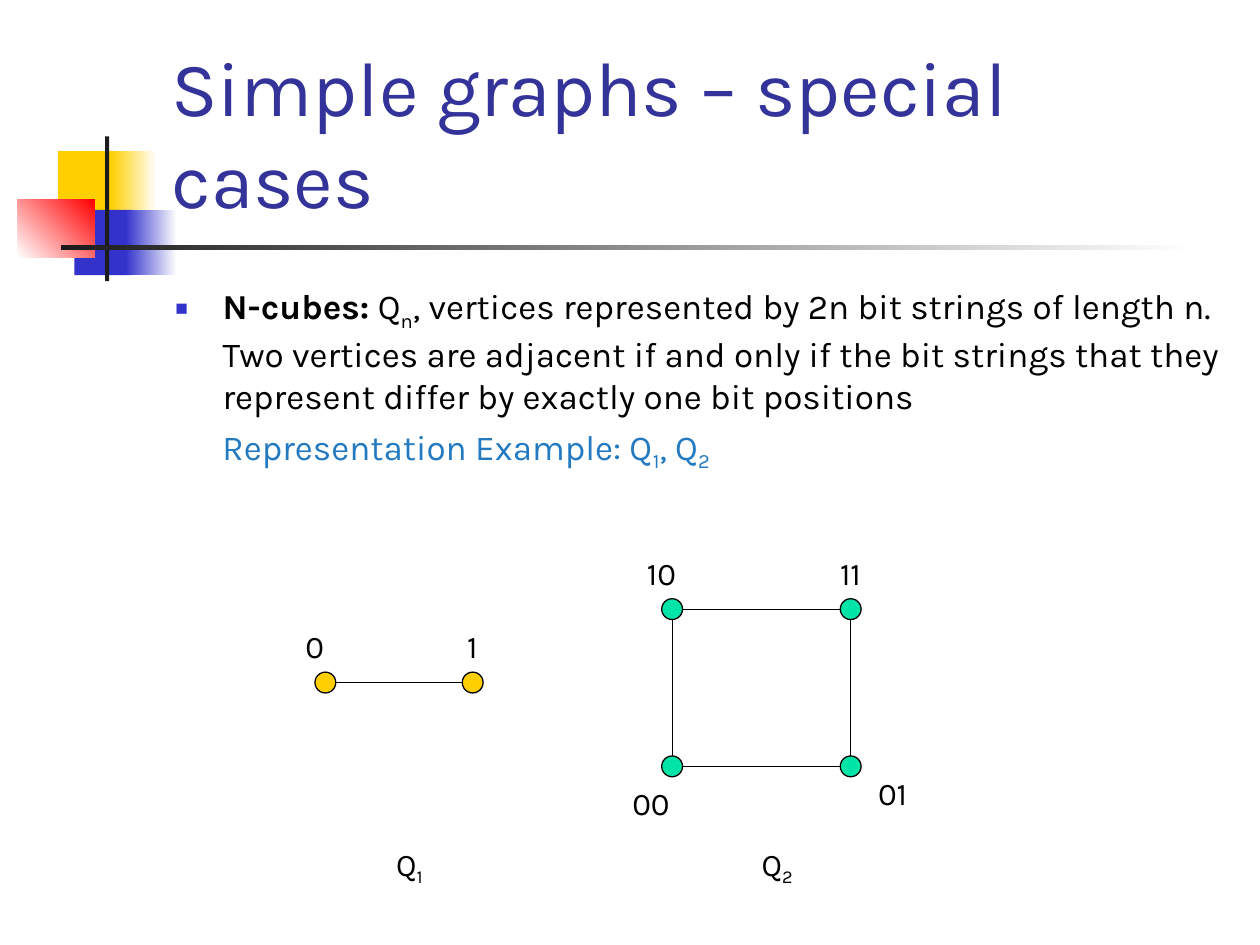
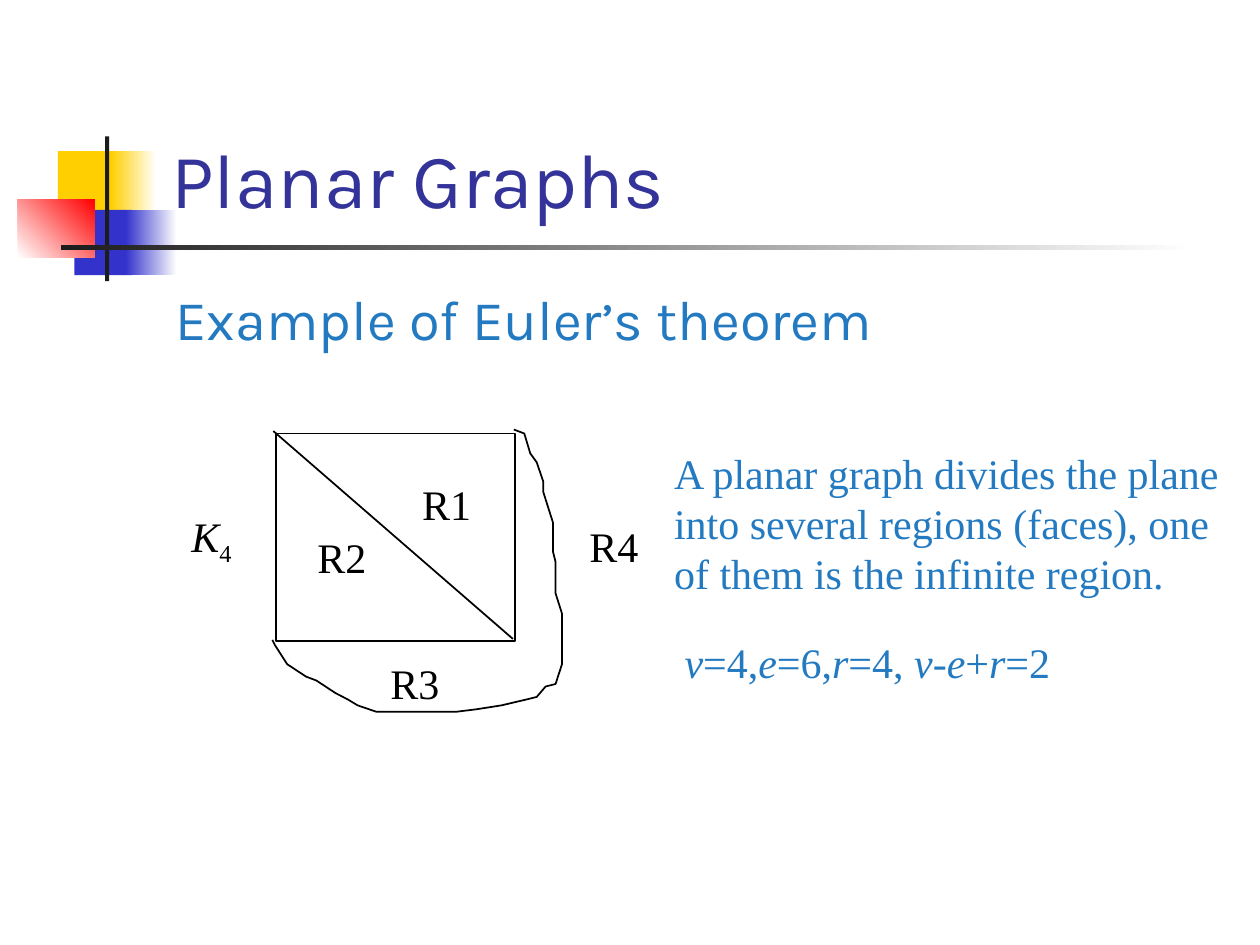
"""Build two graph theory slides: n-cubes and Euler's theorem for planar graphs."""
import dataclasses

import lxml.etree
import pptx
import pptx.dml.color
import pptx.enum.shapes
import pptx.enum.text
import pptx.oxml.ns
import pptx.util

Cm = pptx.util.Cm
Align = pptx.enum.text.PP_ALIGN
Anchor = pptx.enum.text.MSO_ANCHOR
Shape = pptx.enum.shapes.MSO_SHAPE
rgb = pptx.dml.color.RGBColor.from_string
qn = pptx.oxml.ns.qn


@dataclasses.dataclass(frozen=True)
class Theme:
    sans: str = "Karla"
    serif: str = "Times New Roman"
    title: str = "333399"
    accent: str = "237AC1"
    ink: str = "000000"
    bar: str = "1C1C1C"
    white: str = "FFFFFF"
    yellow: str = "FFCF01"
    blue: str = "3333CC"
    red: str = "FF0000"
    green: str = "00E4A8"
    title_size: int = 44
    heading_size: int = 32
    note_size: int = 24
    body_size: int = 20
    label_size: int = 18


theme = Theme()


def write(para, runs, face, size, color):
    """Fill a paragraph with (text, style) runs; style is "", "bold", "italic" or "sub"."""
    para.font.name = face
    para.font.size = pptx.util.Pt(size)
    para.font.color.rgb = rgb(color)
    for text, style in runs:
        span = para.add_run()
        span.text = text
        if style == "bold":
            span.font.bold = True
        elif style == "italic":
            span.font.italic = True
        elif style == "sub":
            span._r.get_or_add_rPr().set("baseline", "-25000")


def draw_edge(slide, start, end, width):
    """Draw a straight black edge between two points given in centimetres."""
    edge = slide.shapes.add_connector(
        pptx.enum.shapes.MSO_CONNECTOR.STRAIGHT, *[Cm(n) for n in (*start, *end)])
    edge.line.color.rgb = rgb(theme.ink)
    edge.line.width = pptx.util.Pt(width)
    lxml.etree.SubElement(edge.element.spPr, qn("a:effectLst"))


deck = pptx.Presentation()
deck.slide_width, deck.slide_height = Cm(25.4), Cm(19.05)
layout = deck.slide_layouts[1]
for placeholder in list(layout.placeholders)[2:]:
    placeholder.element.getparent().remove(placeholder.element)

pages = []
for heading, body_height in [("Simple graphs – special cases", 5.18), ("Planar Graphs", 11.43)]:
    page = deck.slides.add_slide(layout)
    title, body = page.placeholders
    title.left, title.top, title.width, title.height = Cm(3.2), Cm(0.58), Cm(21.64), Cm(4.06)
    body.left, body.top, body.width, body.height = Cm(3.28), Cm(5.61), Cm(21.59), Cm(body_height)
    for holder in (title, body):
        holder.text_frame.word_wrap = True
        holder.text_frame.auto_size = pptx.enum.text.MSO_AUTO_SIZE.NONE
    title.text_frame.vertical_anchor = Anchor.BOTTOM
    title_para = title.text_frame.paragraphs[0]
    title_para.alignment = Align.LEFT
    write(title_para, [(heading, "")], theme.sans, theme.title_size, theme.title)
    pages.append(page)
cubes, planar = pages

bands = [
    (1.17, 3.05, 1.22, 1.32, [theme.yellow], 0),
    (2.24, 3.05, 0.91, 1.32, [theme.yellow, theme.white], 0),
    (1.5, 4.23, 1.17, 1.32, [theme.blue], 0),
    (2.54, 4.23, 1.02, 1.32, [theme.blue, theme.white], 0),
    (0.36, 4.02, 1.55, 1.17, [theme.white, theme.red], 45),
    (2.12, 2.75, 0.08, 2.92, [theme.bar], 0),
    (1.23, 4.94, 22.86, 0.1, [theme.bar, theme.white], 0),
]
band_shapes = []
for *frame, colors, angle in bands:
    band = cubes.shapes.add_shape(Shape.RECTANGLE, *[Cm(n) for n in frame])
    band.shadow.inherit = False
    band.line.fill.background()
    if len(colors) == 1:
        band.fill.solid()
        band.fill.fore_color.rgb = rgb(colors[0])
    else:
        band.fill.gradient()
        band.fill.gradient_angle = angle
        for stop, position, color in zip(band.fill.gradient_stops, (0, 1), colors):
            stop.position = position
            stop.color.rgb = rgb(color)
    band_shapes.append(band)
for index, band in enumerate(band_shapes):
    layout.shapes.element.insert(2 + index, band.element)

body_frame = cubes.placeholders[1].text_frame
definition = body_frame.paragraphs[0]
definition.space_before = pptx.util.Pt(0)
properties = definition._p.get_or_add_pPr()
bullet_color = lxml.etree.SubElement(properties, qn("a:buClr"))
lxml.etree.SubElement(bullet_color, qn("a:srgbClr"), val=theme.blue)
lxml.etree.SubElement(properties, qn("a:buSzPct"), val="60000")
lxml.etree.SubElement(properties, qn("a:buChar"), char="■")
write(definition, [
    ("N-cubes:", "bold"), (" Q", ""), ("n", "sub"),
    (", vertices represented by 2n bit strings of length n. Two vertices are adjacent if and only "
     "if the bit strings that they represent differ by exactly one bit positions", ""),
], theme.sans, theme.body_size, theme.ink)

example = body_frame.add_paragraph()
example.space_before = pptx.util.Pt(5)
theorem = planar.placeholders[1].text_frame.paragraphs[0]
theorem.space_before = pptx.util.Pt(0)
for para, margin in [(example, 0.95), (theorem, 0)]:
    properties = para._p.get_or_add_pPr()
    properties.set("marL", str(Cm(margin)))
    properties.set("indent", "0")
    lxml.etree.SubElement(properties, qn("a:buNone"))
write(example, [("Representation Example: Q", ""), ("1", "sub"), (", Q", ""), ("2", "sub")],
      theme.sans, theme.body_size, theme.accent)
write(theorem, [("Example of Euler’s theorem", "")],
      theme.sans, theme.heading_size, theme.accent)

diameter = 0.42
segment = [(6.56, 13.76), (9.53, 13.76)]
square = [(13.55, 12.28), (17.15, 12.28), (17.15, 15.45), (13.55, 15.45)]
edges = [tuple(segment), *zip(square, square[1:] + square[:1])]
for start, end in edges:
    draw_edge(cubes, start, end, 0.75)
for vertices, color in [(segment, theme.yellow), (square, theme.green)]:
    for x, y in vertices:
        vertex = cubes.shapes.add_shape(
            Shape.OVAL, Cm(x - diameter / 2), Cm(y - diameter / 2), Cm(diameter), Cm(diameter))
        vertex.shadow.inherit = False
        vertex.fill.solid()
        vertex.fill.fore_color.rgb = rgb(color)
        vertex.line.color.rgb = rgb(theme.ink)
        vertex.line.width = pptx.util.Pt(0.75)

vertex_labels = [
    (5.92, 12.7, [("0", "")]),
    (9.1, 12.7, [("1", "")]),
    (12.91, 11.22, [("10", "")]),
    (16.72, 11.22, [("11", "")]),
    (12.7, 15.87, [("00", "")]),
    (17.57, 15.66, [("01", "")]),
    (7.83, 17.14, [("Q", ""), ("1", "sub")]),
    (15.24, 17.14, [("Q", ""), ("2", "sub")]),
]
for left, top, runs in vertex_labels:
    box = cubes.shapes.add_textbox(Cm(left), Cm(top), Cm(0.85), Cm(0.64))
    box.text_frame.margin_left = box.text_frame.margin_right = 0
    box.text_frame.word_wrap = False
    box.text_frame.vertical_anchor = Anchor.MIDDLE
    para = box.text_frame.paragraphs[0]
    para.alignment = Align.CENTER
    write(para, runs, theme.sans, theme.label_size, theme.ink)

outline = planar.shapes.add_shape(Shape.RECTANGLE, Cm(5.56), Cm(8.74), Cm(4.83), Cm(4.19))
draw_edge(planar, (5.51, 8.69), (10.34, 12.88), 1)
curve_points = [
    (1057, 874), (1069, 914), (1082, 932), (1095, 970), (1095, 991), (1107, 1029),
    (1115, 1054), (1115, 1113), (1120, 1133), (1120, 1196), (1133, 1237), (1133, 1339),
    (1120, 1379), (1100, 1384), (1082, 1405), (1062, 1410), (1011, 1422), (960, 1430),
    (919, 1435), (759, 1435), (721, 1422), (701, 1410), (676, 1397), (638, 1372),
    (617, 1364), (579, 1339), (554, 1300), (549, 1290),
]
builder = planar.shapes.build_freeform(1036, 866, scale=Cm(0.01))
builder.add_line_segments(curve_points, close=False)
curve = builder.convert_to_shape()
for shape in (outline, curve):
    shape.shadow.inherit = False
    shape.fill.background()
    shape.line.color.rgb = rgb(theme.ink)
    shape.line.width = pptx.util.Pt(1)

formula = [
    ("v", "italic"), ("=4,", ""), ("e", "italic"), ("=6,", ""), ("r", "italic"), ("=4, ", ""),
    ("v", "italic"), ("-", ""), ("e", "italic"), ("+", ""), ("r", "italic"), ("=2", ""),
]
regions = [
    [("A planar graph divides the plane", "")],
    [("into several regions (faces), one", "")],
    [("of them is the infinite region.", "")],
]
notes = [
    (3.61, 10.16, 1.5, 1.4, theme.ink, [[("K", "italic"), ("4", "sub")]]),
    (8.26, 9.53, 1.6, 1.27, theme.ink, [[("R1", "")]]),
    (6.15, 10.59, 1.6, 1.27, theme.ink, [[("R2", "")]]),
    (7.62, 13.13, 1.6, 1.27, theme.ink, [[("R3", "")]]),
    (11.63, 10.36, 1.6, 1.27, theme.ink, [[("R4", "")]]),
    (13.34, 8.89, 11.9, 3.3, theme.accent, regions),
    (13.55, 12.7, 8.5, 1.27, theme.accent, [formula]),
]
for *frame, color, lines in notes:
    box = planar.shapes.add_textbox(*[Cm(n) for n in frame])
    box.text_frame.word_wrap = True
    for number, runs in enumerate(lines):
        para = box.text_frame.add_paragraph() if number else box.text_frame.paragraphs[0]
        write(para, runs, theme.serif, theme.note_size, color)

deck.save("out.pptx")
